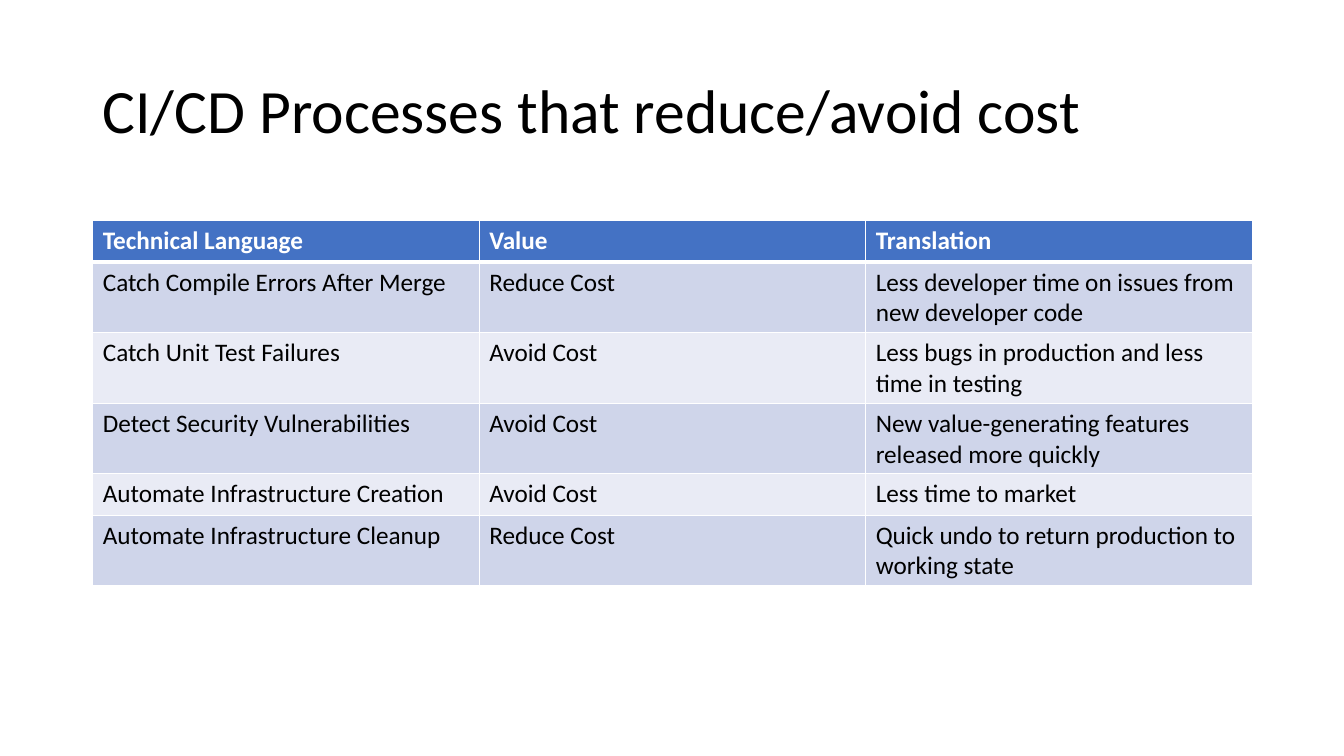
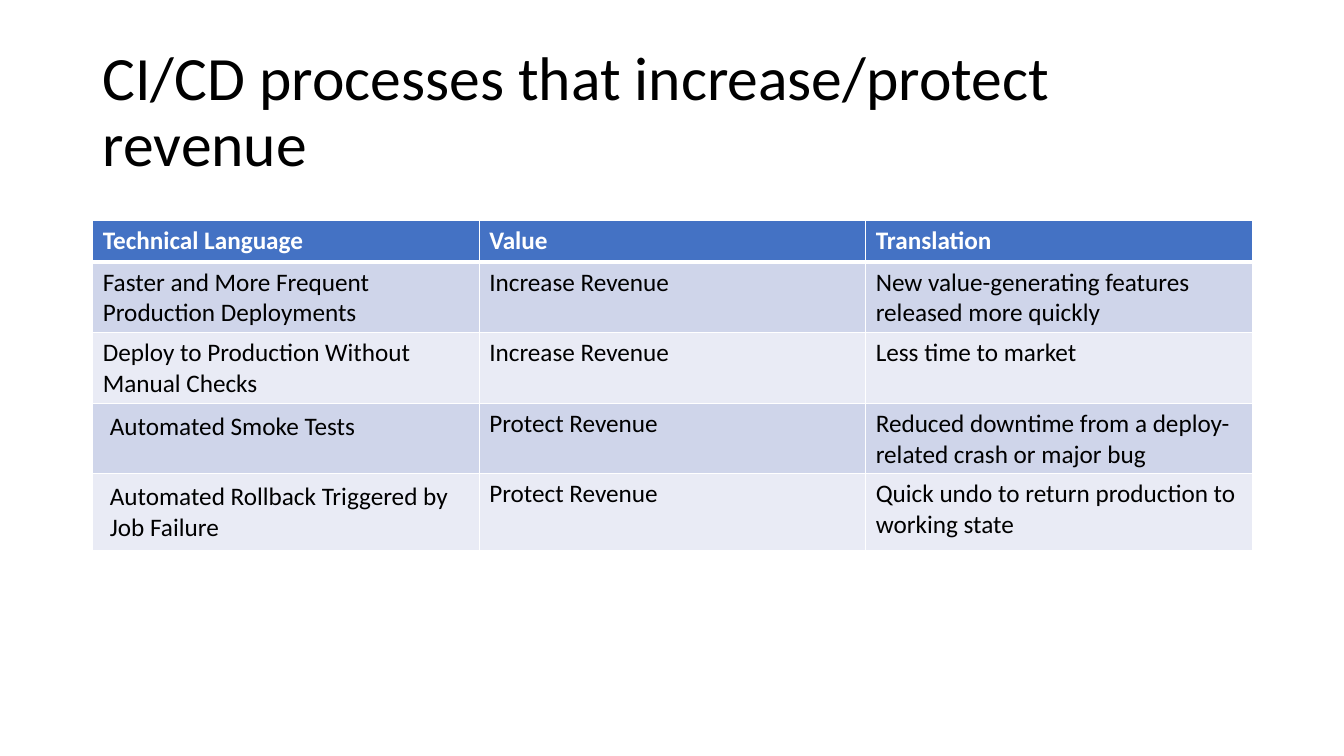
from lxml import etree
from pptx import Presentation
from pptx.dml.color import RGBColor
from pptx.enum.text import MSO_ANCHOR
from pptx.oxml.ns import qn
from pptx.util import Inches, Pt

COLORS = {
    "text": "000000",
    "header": "4472C4",
    "band_dark": "CFD5EA",
    "band_light": "E9EBF5",
    "white": "FFFFFF",
}
FONT = "Calibri"
TITLE_BOX = (0.92, 0.4, 11.5, 1.45)
TABLE_BOX = (0.92, 2.19, 11.5)
ROW_HEIGHT = 0.41
WIDE_INSETS = (0.17, 0.08)
HEADINGS = ("Technical Language", "Value", "Translation")


def rgb(name):
    return RGBColor.from_string(COLORS[name])


def write(frame, text, size, color, bold=False):
    paragraph = frame.paragraphs[0]
    run = paragraph.add_run()
    run.text = text
    run.font.name, run.font.size, run.font.bold = FONT, Pt(size), bold
    run.font.color.rgb = rgb(color)
    return paragraph


def add_title(slide, box, text):
    frame = slide.shapes.add_textbox(*map(Inches, box)).text_frame
    frame.word_wrap = True
    frame.vertical_anchor = MSO_ANCHOR.MIDDLE
    write(frame, text, 44, "text").line_spacing = 0.9


def set_borders(cell, **widths):
    """Draw white cell borders; widths are in points, keyed by side."""
    properties = cell._tc.get_or_add_tcPr()
    for side in "LRTB":
        line = etree.SubElement(properties, qn(f"a:ln{side}"),
                                w=str(Pt(widths.get(side, 1))))
        fill = etree.SubElement(line, qn("a:solidFill"))
        etree.SubElement(fill, qn("a:srgbClr"), val=COLORS["white"])


def style_cell(cell, text, row):
    is_header = row == 0
    # Thick rule between header and body
    set_borders(cell, **({"B": 3} if is_header else {"T": 3} if row == 1 else {}))
    band = "header" if is_header else "band_dark" if row % 2 else "band_light"
    cell.fill.solid()
    cell.fill.fore_color.rgb = rgb(band)
    write(cell.text_frame, text, 18, "white" if is_header else "text", is_header)


def add_value_table(slide, box, body, wide_rows):
    left, top, width = box
    rows = [HEADINGS, *body]
    table = slide.shapes.add_table(
        len(rows), len(HEADINGS), Inches(left), Inches(top),
        Inches(width), Inches(ROW_HEIGHT * len(rows))).table
    for r, texts in enumerate(rows):
        for c, text in enumerate(texts):
            style_cell(table.cell(r, c), text, r)
    # First-column cells with wider padding
    for r in wide_rows:
        cell = table.cell(r, 0)
        cell.margin_left = cell.margin_right = Inches(WIDE_INSETS[0])
        cell.margin_top = cell.margin_bottom = Inches(WIDE_INSETS[1])


def add_table_slide(prs, title, body, wide_rows=()):
    slide = prs.slides.add_slide(prs.slide_layouts[6])
    add_title(slide, TITLE_BOX, title)
    add_value_table(slide, TABLE_BOX, body, wide_rows)


prs = Presentation()
prs.slide_width, prs.slide_height = Inches(13.33), Inches(7.5)

# Cost
add_table_slide(prs, "CI/CD Processes that reduce/avoid cost", [
    ("Catch Compile Errors After Merge", "Reduce Cost",
     "Less developer time on issues from new developer code"),
    ("Catch Unit Test Failures", "Avoid Cost",
     "Less bugs in production and less time in testing"),
    ("Detect Security Vulnerabilities", "Avoid Cost",
     "New value-generating features released more quickly"),
    ("Automate Infrastructure Creation", "Avoid Cost", "Less time to market"),
    ("Automate Infrastructure Cleanup", "Reduce Cost",
     "Quick undo to return production to working state"),
])

# Revenue
add_table_slide(prs, "CI/CD processes that increase/protect revenue", [
    ("Faster and More Frequent Production Deployments", "Increase Revenue",
     "New value-generating features released more quickly"),
    ("Deploy to Production Without Manual Checks", "Increase Revenue",
     "Less time to market"),
    ("Automated Smoke Tests", "Protect Revenue",
     "Reduced downtime from a deploy-related crash or major bug"),
    ("Automated Rollback Triggered by Job Failure", "Protect Revenue",
     "Quick undo to return production to working state"),
], wide_rows=(3, 4))

prs.save("out.pptx")
